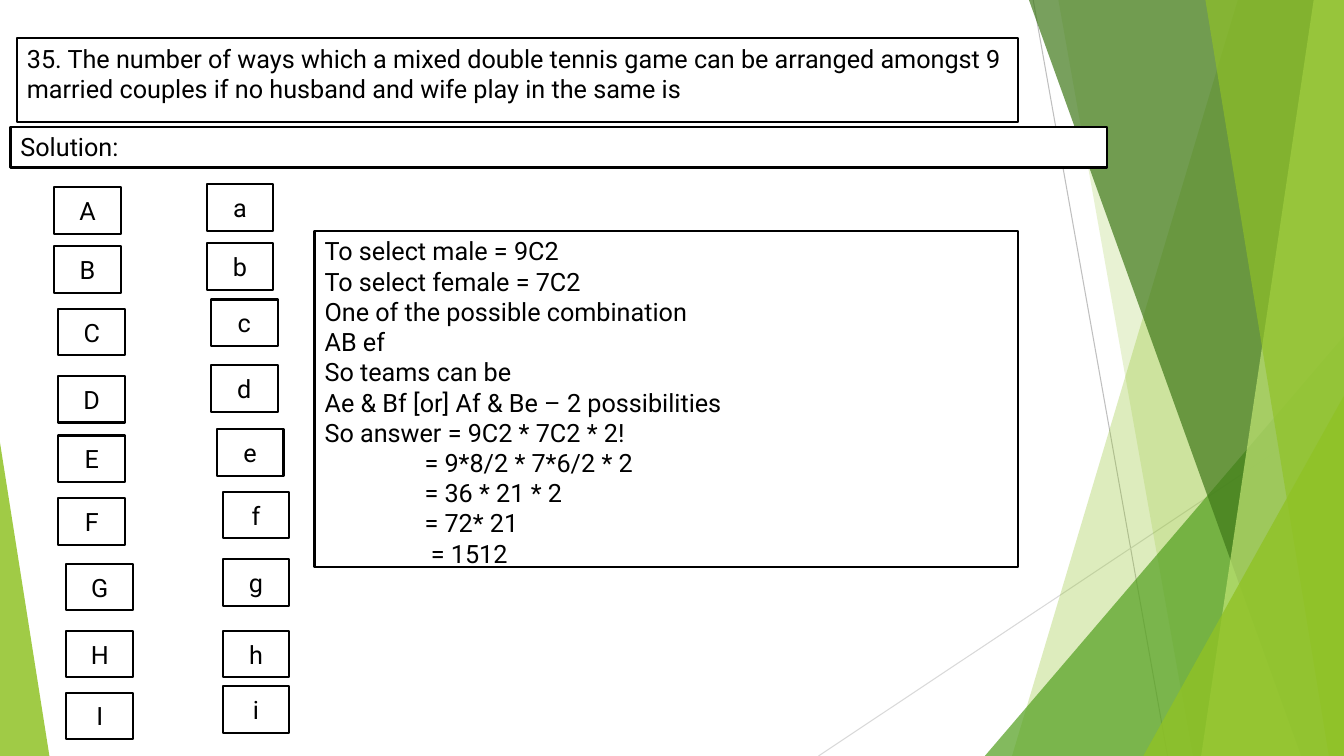
from typing import NamedTuple

from lxml.etree import SubElement
from pptx import Presentation
from pptx.dml.color import RGBColor
from pptx.enum.shapes import MSO_CONNECTOR, MSO_SHAPE
from pptx.enum.text import MSO_ANCHOR, MSO_AUTO_SIZE, PP_ALIGN
from pptx.oxml.ns import qn
from pptx.util import Emu, Pt

COLUMNS, ROWS = 160, 90
CELL = 76200

RECTANGLE = MSO_SHAPE.RECTANGLE
TRIANGLE = MSO_SHAPE.ISOSCELES_TRIANGLE
STRAIGHT = MSO_CONNECTOR.STRAIGHT
LEFT, CENTER = PP_ALIGN.LEFT, PP_ALIGN.CENTER
TOP, MIDDLE = MSO_ANCHOR.TOP, MSO_ANCHOR.MIDDLE
FIXED, GROW = MSO_AUTO_SIZE.NONE, MSO_AUTO_SIZE.SHAPE_TO_FIT_TEXT

WHITE = RGBColor(0xFF, 0xFF, 0xFF)
BLACK = RGBColor(0x00, 0x00, 0x00)
GREY = RGBColor(0xBF, 0xBF, 0xBF)
PALE_GREY = RGBColor(0xD9, 0xD9, 0xD9)
LIME = RGBColor(0x90, 0xC2, 0x26)
GREEN = RGBColor(0x54, 0xA0, 0x21)
FOREST = RGBColor(0x3F, 0x78, 0x19)
PALE_LIME = RGBColor(0xC0, 0xE4, 0x74)

FONT_FORMAT = {"name": "Roboto", "size": Pt(18), "bold": False}
PASSAGE_FRAME = {"word_wrap": True, "auto_size": GROW, "vertical_anchor": TOP}
CARD_FRAME = {"word_wrap": True, "auto_size": FIXED, "vertical_anchor": MIDDLE}


class Area(NamedTuple):
    column: float
    row: float
    columns: float
    rows: float


class Ray(NamedTuple):
    start: tuple[float, float]
    end: tuple[float, float]
    color: RGBColor


class Band(NamedTuple):
    top_column: float
    bottom_column: float
    color: RGBColor
    opacity: int


class Wedge(NamedTuple):
    area: Area
    apex: float
    color: RGBColor
    opacity: int


class Step(NamedTuple):
    text: str
    indent: float = 0


class Card(NamedTuple):
    letter: str
    column: float
    row: float


RAYS = [
    Ray((123, 0), (139, 90), GREY),
    Ray((160, 48.36), (97.44, 90), PALE_GREY),
]
FACETS = [
    Band(147.36, 120.48, LIME, 30),
    Band(126, 142, LIME, 20),
    Wedge(Area(117.24, 40, 42.76, 50), 1, GREEN, 72),
    Band(122.5, 154.9, FOREST, 70),
    Band(156.4, 143, PALE_LIME, 70),
    Band(143.5, 158.2, LIME, 65),
    Wedge(Area(136.1, 47.1, 23.9, 42.9), 1, LIME, 80),
    Wedge(Area(0, 52.7, 5.88, 37.3), 0, LIME, 85),
]

QUESTION = [Step(
    "35. The number of ways which a mixed double tennis game can be arranged "
    "amongst 9 married couples if no husband and wife play in the same is"
)]
WORKING = [
    Step("To select male = 9C2"),
    Step("To select female = 7C2"),
    Step("One of the possible combination"),
    Step("AB ef"),
    Step("So teams can be"),
    Step("Ae & Bf [or] Af & Be – 2 possibilities"),
    Step("So answer = 9C2 * 7C2 * 2!"),
    Step("= 9*8/2 * 7*6/2 * 2", 11.9),
    Step("= 36 * 21 * 2", 11.9),
    Step("= 72* 21", 11.9),
    Step("= 1512", 12.65),
]
QUESTION_AREA = Area(2, 4.56, 119.2, 8.5)
SOLUTION_AREA = Area(1.25, 15.1, 130.55, 4.85)
WORKING_AREA = Area(37.44, 27.45, 83.76, 41.2)

CARD_COLUMNS, CARD_ROWS = 7.95, 5.55
CARDS = [
    Card("A", 6.45, 22.3), Card("B", 6.45, 29.3), Card("C", 6.95, 36.75),
    Card("D", 6.95, 44.75), Card("E", 6.95, 51.85), Card("F", 6.95, 59.3),
    Card("G", 7.9, 67.1), Card("H", 7.9, 75.1), Card("I", 7.9, 82.45),
    Card("a", 24.6, 21.95), Card("b", 24.6, 28.95), Card("c", 25.1, 35.65),
    Card("d", 25.1, 43.45), Card("e", 25.8, 51.1), Card("f", 26.5, 58.55),
    Card("g", 26.5, 66.6), Card("h", 26.5, 75.1), Card("i", 26.5, 81.7),
]


def cells(count: float) -> Emu:
    return Emu(round(count * CELL))


def assign(target, values: dict) -> None:
    for attribute, value in values.items():
        setattr(target, attribute, value)


def place(shape, area: Area) -> None:
    assign(shape, dict(zip(("left", "top", "width", "height"), map(cells, area))))


def add_rectangle(slide, area: Area):
    box = slide.shapes.add_shape(RECTANGLE, *map(cells, area))
    box.shadow.inherit = False
    return box


def tint(shape, color: RGBColor, opacity: int) -> None:
    shape.shadow.inherit = False
    shape.line.fill.background()
    shape.fill.solid()
    shape.fill.fore_color.rgb = color
    color_element = shape.fill._xPr.find(qn("a:solidFill"))[0]
    SubElement(color_element, qn("a:alpha"), val=str(opacity * 1000))


def draw_ray(slide, ray: Ray) -> None:
    line = slide.shapes.add_connector(STRAIGHT, *map(cells, ray.start + ray.end))
    line.line.color.rgb = ray.color
    line.line.width = Pt(0.75)
    SubElement(line._element.spPr, qn("a:effectLst"))


def draw_facet(slide, facet: Band | Wedge) -> None:
    if isinstance(facet, Wedge):
        shape = slide.shapes.add_shape(TRIANGLE, *map(cells, facet.area))
        shape.adjustments[0] = facet.apex
    else:
        outline = slide.shapes.build_freeform(cells(facet.top_column), 0)
        corners = [(COLUMNS, 0), (COLUMNS, ROWS), (facet.bottom_column, ROWS)]
        outline.add_line_segments([(cells(x), cells(y)) for x, y in corners])
        shape = outline.convert_to_shape()
    tint(shape, facet.color, facet.opacity)


def write_box(box, steps: list[Step], frame_format: dict, alignment) -> None:
    box.fill.solid()
    box.fill.fore_color.rgb = WHITE
    box.line.color.rgb = BLACK
    box.line.width = Pt(1.5)
    frame = box.text_frame
    assign(frame, frame_format)
    for index, step in enumerate(steps):
        paragraph = frame.paragraphs[0] if index == 0 else frame.add_paragraph()
        paragraph.text = step.text
        properties = paragraph._p.get_or_add_pPr()
        properties.set("marL", str(cells(step.indent)))
        properties.set("indent", "0")
        SubElement(properties, qn("a:buNone"))
        assign(paragraph, {"alignment": alignment, "space_before": Pt(0)})
        assign(paragraph.font, FONT_FORMAT)
        paragraph.font.color.rgb = BLACK


def main() -> None:
    deck = Presentation()
    assign(deck, {"slide_width": cells(COLUMNS), "slide_height": cells(ROWS)})
    slide = deck.slides.add_slide(deck.slide_layouts[1])
    for ray in RAYS:
        draw_ray(slide, ray)
    for facet in FACETS:
        draw_facet(slide, facet)

    question, working = slide.placeholders
    place(question, QUESTION_AREA)
    write_box(question, QUESTION, PASSAGE_FRAME, LEFT)
    place(working, WORKING_AREA)
    write_box(working, WORKING, PASSAGE_FRAME, LEFT)
    solution = add_rectangle(slide, SOLUTION_AREA)
    write_box(solution, [Step("Solution:")], PASSAGE_FRAME, LEFT)
    for card in CARDS:
        box = add_rectangle(slide, Area(card.column, card.row, CARD_COLUMNS, CARD_ROWS))
        write_box(box, [Step(card.letter)], CARD_FRAME, CENTER)
    deck.save("out.pptx")


if __name__ == "__main__":
    main()
